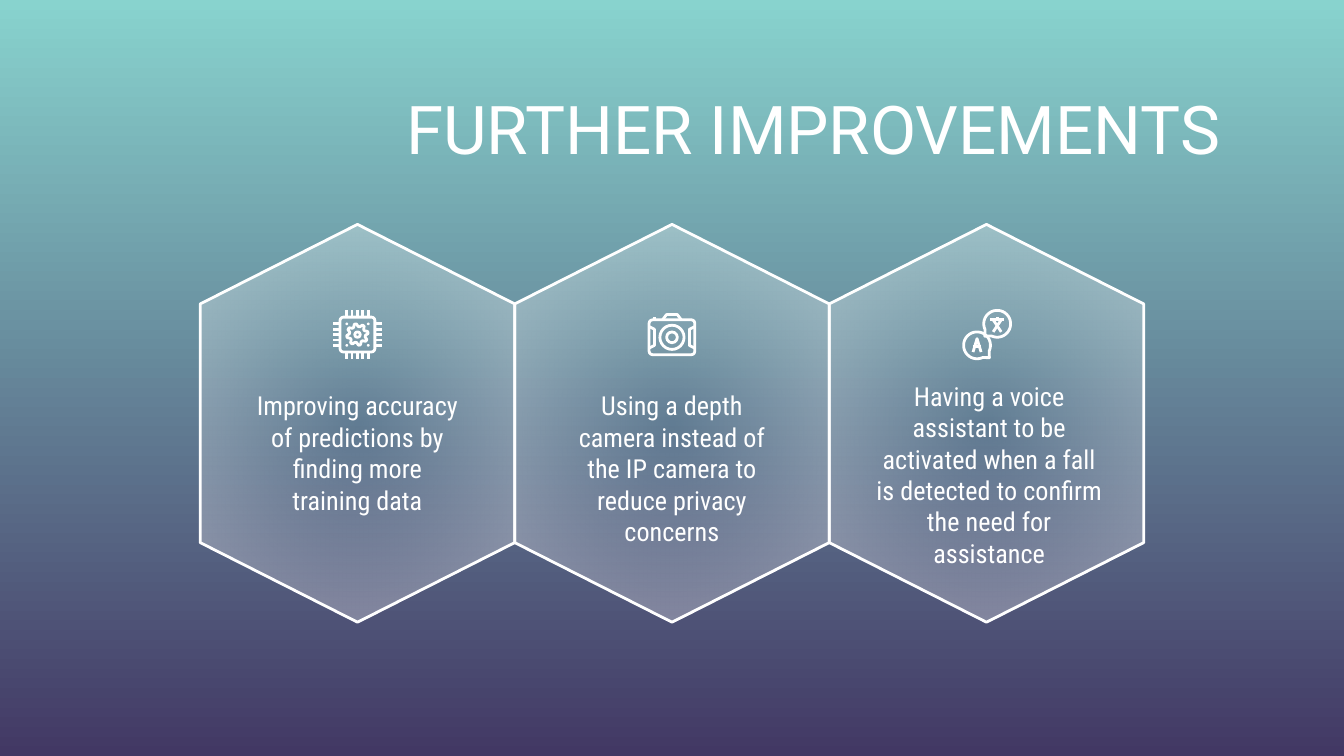
from math import cos, pi, radians, sin

from lxml import etree
from pptx import Presentation
from pptx.dml.color import RGBColor
from pptx.enum.shapes import MSO_SHAPE
from pptx.enum.text import MSO_ANCHOR, PP_ALIGN
from pptx.oxml.ns import qn
from pptx.util import Inches, Pt

HEX = MSO_SHAPE.FLOWCHART_PREPARATION
OVAL = MSO_SHAPE.OVAL
ROUND = MSO_SHAPE.ROUNDED_RECTANGLE
TOP = MSO_ANCHOR.TOP
CENTER, RIGHT = PP_ALIGN.CENTER, PP_ALIGN.RIGHT
WHITE = "FFFFFF"
STEP = 2.34
NOTES = [
    (1.81, 2.8, 1.7, 0.59,
     "Improving accuracy of predictions by finding more training data"),
    (4.15, 2.8, 1.7, 0.59,
     "Using a depth camera instead of the IP camera to reduce privacy concerns"),
    (6.4, 2.73, 1.92, 1.38,
     "Having a voice assistant to be activated when a fall is detected "
     "to confirm the need for assistance"),
]


def color(text):
    """Turn a hex string into a colour."""
    return RGBColor.from_string(text)


def blend(fill, first, last):
    """Set a two-stop gradient."""
    fill.gradient()
    for stop, tint, place in zip(fill.gradient_stops, (first, last), (0, 1)):
        stop.color.rgb = color(tint)
        stop.position = place


def add_text(slide, box, text, size, font, align):
    """Add a wrapped white text box."""
    frame = slide.shapes.add_textbox(*map(Inches, box)).text_frame
    frame.word_wrap = True
    frame.vertical_anchor = TOP
    frame.margin_left = frame.margin_right = Inches(0.1)
    frame.margin_top = frame.margin_bottom = Inches(0.1)
    para = frame.paragraphs[0]
    para.alignment = align
    run = para.add_run()
    run.text = text
    run.font.size = Pt(size)
    run.font.name = font
    run.font.color.rgb = color(WHITE)


def add_hex(slide, mid):
    """Add an upright hexagon that glows towards its rim."""
    box = (mid - 1.48, 1.98, 2.96, 2.34)
    shape = slide.shapes.add_shape(HEX, *map(Inches, box))
    shape.rotation = 90
    shape.shadow.inherit = False
    blend(shape.fill, WHITE, WHITE)
    grad = shape.element.spPr.find(qn("a:gradFill"))
    for tint, alpha in zip(grad.iter(qn("a:srgbClr")), ("0", "39000")):
        etree.SubElement(tint, qn("a:alpha"), val=alpha)
    glow = etree.Element(qn("a:path"), path="circle")
    sides = dict.fromkeys("ltrb", "50000")
    etree.SubElement(glow, qn("a:fillToRect"), **sides)
    grad.replace(grad.find(qn("a:lin")), glow)
    shape.line.color.rgb = color(WHITE)
    shape.line.width = Pt(1.5)


def outline(shape):
    """Leave only a white outline."""
    shape.shadow.inherit = False
    shape.fill.background()
    shape.line.color.rgb = color(WHITE)
    shape.line.width = Pt(1.5)
    return shape


def ring(slide, x, y, radius):
    """Add a white circle outline around a centre."""
    box = (x - radius, y - radius, 2 * radius, 2 * radius)
    return outline(slide.shapes.add_shape(OVAL, *map(Inches, box)))


def dot(slide, x, y):
    """Add a small white disc."""
    shape = ring(slide, x, y, 0.01)
    shape.fill.solid()
    shape.fill.fore_color.rgb = color(WHITE)
    shape.line.fill.background()


def frame(slide, *box):
    """Add a rounded white frame."""
    shape = outline(slide.shapes.add_shape(ROUND, *map(Inches, box)))
    shape.adjustments[0] = 0.1


def trace(slide, x, y, paths, close=False):
    """Add one white outline of paths given relative to a centre."""
    pen = None
    for points in paths:
        spots = [(Inches(x + dx), Inches(y + dy)) for dx, dy in points]
        if pen is None:
            pen = slide.shapes.build_freeform(*spots[0])
        else:
            pen.move_to(*spots[0])
        pen.add_line_segments(spots[1:], close=close)
    outline(pen.convert_to_shape())


def polar(radius, angle):
    """Return the point at an angle around zero."""
    return radius * cos(angle), radius * sin(angle)


def draw_chip(slide, x, y):
    """Draw a chip with pins and a gear."""
    frame(slide, x - 0.13, y - 0.13, 0.26, 0.26)
    pins = []
    for i in range(-2, 3):
        gap = i * 0.04
        for near, far in ((-0.13, -0.18), (0.13, 0.18)):
            pins.append([(gap, near), (gap, far)])
            pins.append([(near, gap), (far, gap)])
    trace(slide, x, y, pins)
    for dx in (-0.08, 0.08):
        for dy in (-0.08, 0.08):
            dot(slide, x + dx, y + dy)
    gear = [polar(0.06 if i % 4 < 2 else 0.08, (i + 0.5) * pi / 16)
            for i in range(32)]
    trace(slide, x, y, [gear], True)
    ring(slide, x, y, 0.02)


def draw_camera(slide, x, y):
    """Draw a camera with lens and grips."""
    frame(slide, x - 0.17, y - 0.13, 0.34, 0.26)
    ring(slide, x, y, 0.09)
    ring(slide, x, y, 0.04)
    parts = [[(-0.07, -0.13), (-0.04, -0.17), (0.04, -0.17), (0.07, -0.13)],
             [(-0.13, -0.15), (-0.13, -0.13)]]
    for side in (-1, 1):
        rim, grip = side * 0.17, side * 0.13
        parts.append([(rim, -0.08), (grip, -0.06), (grip, 0.06), (rim, 0.08)])
    trace(slide, x, y, parts)


def bubble(slide, x, y, tail):
    """Draw a round speech bubble with its tail at an angle in degrees."""
    rim = [polar(0.1, radians(tail + a)) for a in range(20, 341, 10)]
    trace(slide, x, y, [[polar(0.13, radians(tail))] + rim], True)


def draw_speech(slide, x, y):
    """Draw two speech bubbles with letter strokes."""
    left, right, low, high = x - 0.07, x + 0.08, y + 0.08, y - 0.08
    bubble(slide, right, high, 135)
    bubble(slide, left, low, 45)
    trace(slide, left, low, [[(-0.03, 0.05), (0, -0.05), (0.03, 0.05)],
                             [(-0.03, 0.01), (0.03, 0.01)]])
    trace(slide, right, high, [[(-0.05, -0.03), (0.05, -0.03)],
                               [(0, -0.05), (0, -0.03)],
                               [(0.03, -0.03), (-0.03, 0.06)],
                               [(-0.03, -0.03), (0.03, 0.06)]])


def main():
    """Build the slide and save it."""
    deck = Presentation()
    deck.slide_width = Inches(10)
    deck.slide_height = deck.slide_width * 9 // 16
    slide = deck.slides.add_slide(deck.slide_layouts[6])
    back = slide.background.fill
    blend(back, "88D3CE", "423864")
    back.gradient_angle = 270
    add_text(slide, (0, 0.55, 9.18, 0.73), "FURTHER IMPROVEMENTS",
             36, "Roboto", RIGHT)
    mids = [5 + i * STEP for i in (-1, 0, 1)]
    for mid in mids:
        add_hex(slide, mid)
    for *box, text in NOTES:
        add_text(slide, box, text, 14, "Roboto Condensed", CENTER)
    draw_chip(slide, mids[0], 2.49)
    draw_camera(slide, mids[1], 2.51)
    draw_speech(slide, mids[2], 2.49)
    deck.save("out.pptx")


if __name__ == "__main__":
    main()
